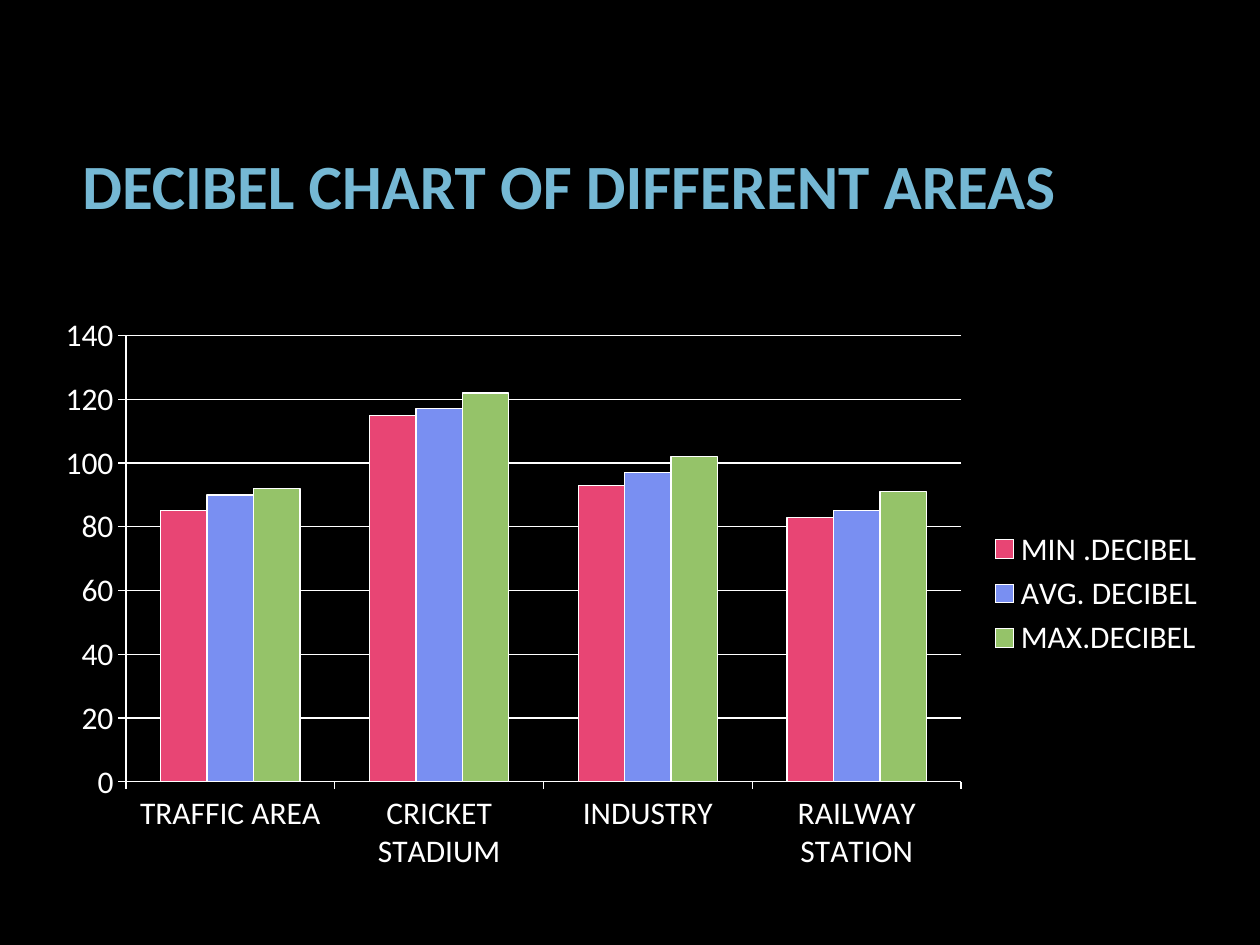
from pptx import Presentation
from pptx.chart.data import CategoryChartData
from pptx.dml.color import RGBColor
from pptx.enum.chart import XL_CHART_TYPE, XL_LEGEND_POSITION, XL_TICK_MARK
from pptx.enum.text import MSO_ANCHOR
from pptx.util import Emu, Pt

PX = 914400 / 126
BLACK = RGBColor(0x00, 0x00, 0x00)
WHITE = RGBColor(0xFF, 0xFF, 0xFF)
SKY = RGBColor(0x75, 0xB8, 0xD4)
PINK = RGBColor(0xE8, 0x45, 0x74)
BLUE = RGBColor(0x79, 0x8F, 0xF2)
GREEN = RGBColor(0x95, 0xC3, 0x69)

AREAS = ["TRAFFIC AREA", "CRICKET STADIUM", "INDUSTRY", "RAILWAY STATION"]
LEVELS = [
    ("MIN .DECIBEL", (85, 115, 93, 83), PINK),
    ("AVG. DECIBEL", (90, 117, 97, 85), BLUE),
    ("MAX.DECIBEL", (92, 122, 102, 91), GREEN),
]


def px(*lengths):
    """Turn pixel lengths into EMU."""
    return [Emu(round(length * PX)) for length in lengths]


def apply_format(target, values):
    """Set every attribute named in a dict of format values."""
    for name, value in values.items():
        setattr(target, name, value)


def format_font(font, color, values):
    """Set the colour and format values of a Calibri font."""
    apply_format(font, {"name": "Calibri", **values})
    font.color.rgb = color


def format_line(line):
    """Make a line thin and white."""
    line.color.rgb = WHITE
    line.width = Pt(0.75)


def add_title(page, box, text):
    """Place the slide title, centred vertically in its box."""
    frame = page.shapes.add_textbox(*px(*box)).text_frame
    apply_format(frame, {"word_wrap": True, "vertical_anchor": MSO_ANCHOR.MIDDLE})
    span = frame.paragraphs[0].add_run()
    span.text = text
    format_font(span.font, SKY, {"size": Pt(36), "bold": True})


def add_decibel_chart(page, box):
    """Place the clustered columns with their axes and legend."""
    data = CategoryChartData()
    data.categories = AREAS
    for name, values, _ in LEVELS:
        data.add_series(name, values)
    chart = page.shapes.add_chart(XL_CHART_TYPE.COLUMN_CLUSTERED, *px(*box), data).chart
    apply_format(chart, {"has_title": False, "has_legend": True})
    format_font(chart.font, WHITE, {"size": Pt(18)})
    apply_format(chart.legend, {"position": XL_LEGEND_POSITION.RIGHT, "include_in_layout": False})

    plot = chart.plots[0]
    apply_format(plot, {"vary_by_categories": False, "gap_width": 150, "overlap": 0})
    for series, (_, _, color) in zip(plot.series, LEVELS):
        series.format.fill.solid()
        series.format.fill.fore_color.rgb = color
        format_line(series.format.line)

    for axis in (chart.category_axis, chart.value_axis):
        axis.major_tick_mark = XL_TICK_MARK.OUTSIDE
        format_line(axis.format.line)
    scale = {"minimum_scale": 0, "maximum_scale": 140, "major_unit": 20, "has_major_gridlines": True}
    apply_format(chart.value_axis, scale)
    format_line(chart.value_axis.major_gridlines.format.line)


def main():
    """Build and save the slide."""
    deck = Presentation()
    deck.slide_width, deck.slide_height = px(1260, 945)
    page = deck.slides.add_slide(deck.slide_layouts[6])
    page.background.fill.solid()
    page.background.fill.fore_color.rgb = BLACK
    add_title(page, (70, 84, 1047, 200), "DECIBEL CHART OF DIFFERENT AREAS")
    add_decibel_chart(page, (42, 305, 1176, 577))
    deck.save("out.pptx")


if __name__ == "__main__":
    main()
